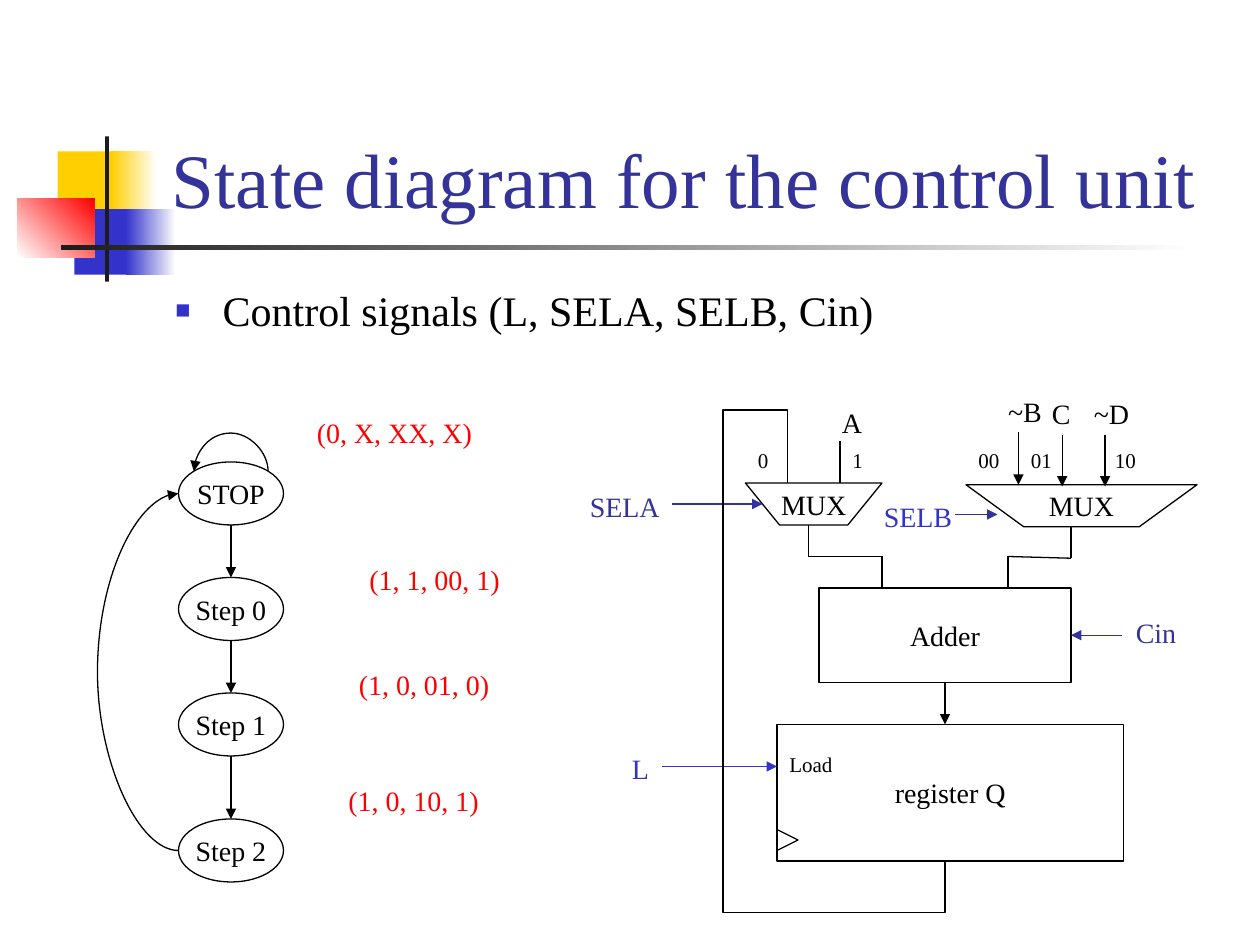
"""Build the slide with the control unit's state diagram and its datapath."""
from math import sqrt

from lxml import etree
from pptx import Presentation
from pptx.dml.color import RGBColor
from pptx.enum.shapes import MSO_CONNECTOR, MSO_SHAPE
from pptx.enum.text import MSO_ANCHOR, MSO_AUTO_SIZE, PP_ALIGN
from pptx.oxml.ns import qn
from pptx.util import Pt

RECT, OVAL, TRIANGLE = MSO_SHAPE.RECTANGLE, MSO_SHAPE.OVAL, MSO_SHAPE.ISOSCELES_TRIANGLE
STRAIGHT, ELBOW, CURVE = MSO_CONNECTOR.STRAIGHT, MSO_CONNECTOR.ELBOW, MSO_CONNECTOR.CURVE
TOP, MIDDLE, BOTTOM = MSO_ANCHOR.TOP, MSO_ANCHOR.MIDDLE, MSO_ANCHOR.BOTTOM
LEFT, CENTER = PP_ALIGN.LEFT, PP_ALIGN.CENTER
NO_FIT, GROW = MSO_AUTO_SIZE.NONE, MSO_AUTO_SIZE.SHAPE_TO_FIT_TEXT
BOTTOM_SITE, RIGHT_SITE = 2, 3

THEME = {
    "font": "Times New Roman", "title": 44, "body": 24, "label": 16, "small": 12, "line": 0.75,
    "black": "000000", "navy": "333399", "blue": "3333CC", "red": "FF0000",
    "yellow": "FFCF01", "white": "FFFFFF", "dark": "1C1C1C",
}

TITLE = "State diagram for the control unit"
BULLET = "Control signals (L, SELA, SELB, Cin)"

DECORATION = [
    ((33, 86.5, 34.5, 37.5), ("yellow",), 0),
    ((63.5, 86.5, 26, 37.5), ("yellow", "white"), 0),
    ((42.5, 119.5, 33, 37.5), ("blue",), 0),
    ((72, 119.5, 28.5, 37.5), ("blue", "white"), 0),
    ((10, 113.5, 44, 33.5), ("white", "red"), 45),
    ((60, 78, 2.3, 83), ("dark",), 0),
    ((34.8, 140.2, 648, 2.5), ("dark", "white"), 0),
]

STATE_LEFT, STATE_WIDTH, STATE_HEIGHT = 102, 60, 36
STATES = [("STOP", 264), ("Step 0", 330), ("Step 1", 396), ("Step 2", 468)]

ADDER = ("Adder", (468, 336, 144, 54))
REGISTER = ("register Q", (444, 414, 198, 78))
MUXES = [(426, 276, 78, 24), (552, 277, 132, 24)]

LABELS = [
    ("(0, X, XX, X)", 174, 234, 104.5, "label", "red"),
    ("(1, 1, 00, 1)", 204, 318, 93.5, "label", "red"),
    ("(1, 0, 01, 0)", 198, 378, 93.5, "label", "red"),
    ("(1, 0, 10, 1)", 192, 444, 90, "label", "red"),
    ("A", 474, 228, 26, "label", "black"),
    ("~B", 569, 222, 34, "label", "black"),
    ("C", 594, 223, 25, "label", "black"),
    ("~D", 618, 223, 34.5, "label", "black"),
    ("SELA", 330, 276, 54.5, "label", "navy"),
    ("SELB", 498, 282, 54, "label", "blue"),
    ("Cin", 642, 348, 38, "label", "navy"),
    ("L", 354, 426, 24.5, "label", "blue"),
    ("Load", 444, 426, 39.5, "small", "black"),
    ("0", 426, 252, 21, "small", "black"),
    ("1", 480, 252, 21, "small", "black"),
    ("00", 552, 252, 26.5, "small", "black"),
    ("01", 582, 252, 26.5, "small", "black"),
    ("10", 630, 252, 26.5, "small", "black"),
]

WIRES = [
    (450, 252, 450, 276), (480, 252, 480, 276),
    (462, 300, 462, 318), (462, 318, 504, 318), (504, 336, 504, 318),
    (612, 301, 612, 319), (612, 319, 576, 318), (576, 336, 576, 318),
    (540, 492, 540, 504),
]
ARROWS = [
    (582, 247, 582, 277, "black"), (607, 248.5, 607, 278, "black"),
    (631.5, 248.5, 631.5, 278, "black"), (384, 288, 435.75, 288, "navy"),
    (546, 294, 570, 294, "navy"), (378, 438, 444, 438, "blue"),
]


def color(key):
    return RGBColor.from_string(THEME[key])


def write(shape, text, size, hue, anchor=TOP, align=LEFT, wrap=False, fit=NO_FIT):
    frame = shape.text_frame
    frame.text = text
    frame.word_wrap, frame.auto_size, frame.vertical_anchor = wrap, fit, anchor
    paragraph = frame.paragraphs[0]
    paragraph.alignment, paragraph.space_before = align, Pt(0)
    font = paragraph.runs[0].font
    font.name, font.size, font.color.rgb = THEME["font"], Pt(THEME[size]), color(hue)


def outline(shape, text=""):
    shape.shadow.inherit = False
    shape.fill.background()
    shape.line.color.rgb, shape.line.width = color("black"), Pt(THEME["line"])
    if text:
        write(shape, text, "label", "black", MIDDLE, CENTER)
    return shape


def add_box(shapes, kind, box, text=""):
    return outline(shapes.add_shape(kind, *map(Pt, box)), text)


def add_mux(shapes, left, top, width, height):
    inset, right, bottom = width / 4, left + width, top + height
    builder = shapes.build_freeform(Pt(left), Pt(top))
    corners = [(left + inset, bottom), (right - inset, bottom), (right, top)]
    builder.add_line_segments([(Pt(x), Pt(y)) for x, y in corners], close=True)
    outline(builder.convert_to_shape(), "MUX")


def add_wire(shapes, ends, hue="black", arrow=False, kind=STRAIGHT):
    wire = shapes.add_connector(kind, *map(Pt, ends))
    wire.line.color.rgb, wire.line.width = color(hue), Pt(THEME["line"])
    if arrow:
        etree.SubElement(wire.line._get_or_add_ln(), qn("a:tailEnd"), type="triangle")
    etree.SubElement(wire._element.spPr, qn("a:effectLst"))
    return wire


def route(wire, preset, turn, bends):
    properties = wire._element.spPr
    properties.find(qn("a:xfrm")).set("rot", str(turn * 60000))
    geometry = properties.find(qn("a:prstGeom"))
    geometry.set("prst", preset)
    guides = geometry.find(qn("a:avLst"))
    if guides is None:
        guides = etree.SubElement(geometry, qn("a:avLst"))
    for number, bend in enumerate(bends, 1):
        etree.SubElement(guides, qn("a:gd"), name=f"adj{number}", fmla=f"val {round(bend * 100000)}")


def add_decoration(shapes):
    for box, hues, angle in DECORATION:
        block = shapes.add_shape(RECT, *map(Pt, box))
        block.shadow.inherit = False
        block.line.fill.background()
        if len(hues) == 1:
            block.fill.solid()
            block.fill.fore_color.rgb = color(hues[0])
        else:
            block.fill.gradient()
            block.fill.gradient_angle = angle
            for stop, hue, position in zip(block.fill.gradient_stops, hues, (0, 1)):
                stop.color.rgb, stop.position = color(hue), position


def add_headings(slide):
    title, body = slide.shapes.title, slide.placeholders[1]
    for holder, box in ((title, (91, 16.5, 613.5, 115)), (body, (93, 159, 612, 51))):
        holder.left, holder.top, holder.width, holder.height = map(Pt, box)
    write(title, TITLE, "title", "navy", BOTTOM, wrap=True)
    write(body, BULLET, "body", "black", wrap=True)
    settings = body.text_frame.paragraphs[0]._p.get_or_add_pPr()
    settings.set("marL", str(Pt(27)))
    settings.set("indent", str(Pt(-27)))
    tint = etree.SubElement(settings, qn("a:buClr"))
    etree.SubElement(tint, qn("a:srgbClr"), val=THEME["blue"])
    etree.SubElement(settings, qn("a:buSzPct"), val="60000")
    etree.SubElement(settings, qn("a:buChar"), char="■")


def add_states(shapes):
    center = STATE_LEFT + STATE_WIDTH / 2
    tops = [top for _, top in STATES]
    for name, top in STATES:
        add_box(shapes, OVAL, (STATE_LEFT, top, STATE_WIDTH, STATE_HEIGHT), name)
    for above, below in zip(tops, tops[1:]):
        add_wire(shapes, (center, above + STATE_HEIGHT, center, below), arrow=True)

    sliver, half = 0.12, STATE_HEIGHT / 2
    back = (STATE_LEFT - sliver, tops[0] + half, STATE_LEFT, tops[-1] + half)
    route(add_wire(shapes, back, arrow=True, kind=CURVE), "curvedConnector3", 180, [49 / sliver])
    reach, level = STATE_WIDTH / sqrt(8), tops[0] + half * (1 - 1 / sqrt(2))
    loop = (center + sliver / 2, level + reach, center - sliver / 2, level - reach)
    route(add_wire(shapes, loop, arrow=True, kind=CURVE), "curvedConnector3", 270, [-23 / sliver])


def add_datapath(shapes):
    adder, register = [add_box(shapes, RECT, box, name) for name, box in (ADDER, REGISTER)]
    add_box(shapes, TRIANGLE, (444, 474, 12, 12)).rotation = 90
    for mux in MUXES:
        add_mux(shapes, *mux)
    for ends in WIRES:
        add_wire(shapes, ends)
    for *ends, hue in ARROWS:
        add_wire(shapes, ends, hue, arrow=True)
    add_wire(shapes, (540, 390, 540, 414), arrow=True).begin_connect(adder, BOTTOM_SITE)
    add_wire(shapes, (641, 363, 612, 363), "navy", arrow=True).end_connect(adder, RIGHT_SITE)
    feedback = add_wire(shapes, (369, 423, 621, 333), kind=ELBOW)
    route(feedback, "bentConnector5", 270, [-0.07, 1.41, 1.07])


def main():
    deck = Presentation()
    deck.slide_width, deck.slide_height = Pt(720), Pt(540)
    slide = deck.slides.add_slide(deck.slide_layouts[1])
    add_decoration(slide.shapes)
    add_headings(slide)
    add_states(slide.shapes)
    add_datapath(slide.shapes)
    for text, left, top, width, size, hue in LABELS:
        height = 26.5 if size == "label" else 21.5
        label = slide.shapes.add_textbox(*map(Pt, (left, top, width, height)))
        write(label, text, size, hue, fit=GROW)
    deck.save("out.pptx")


if __name__ == "__main__":
    main()
